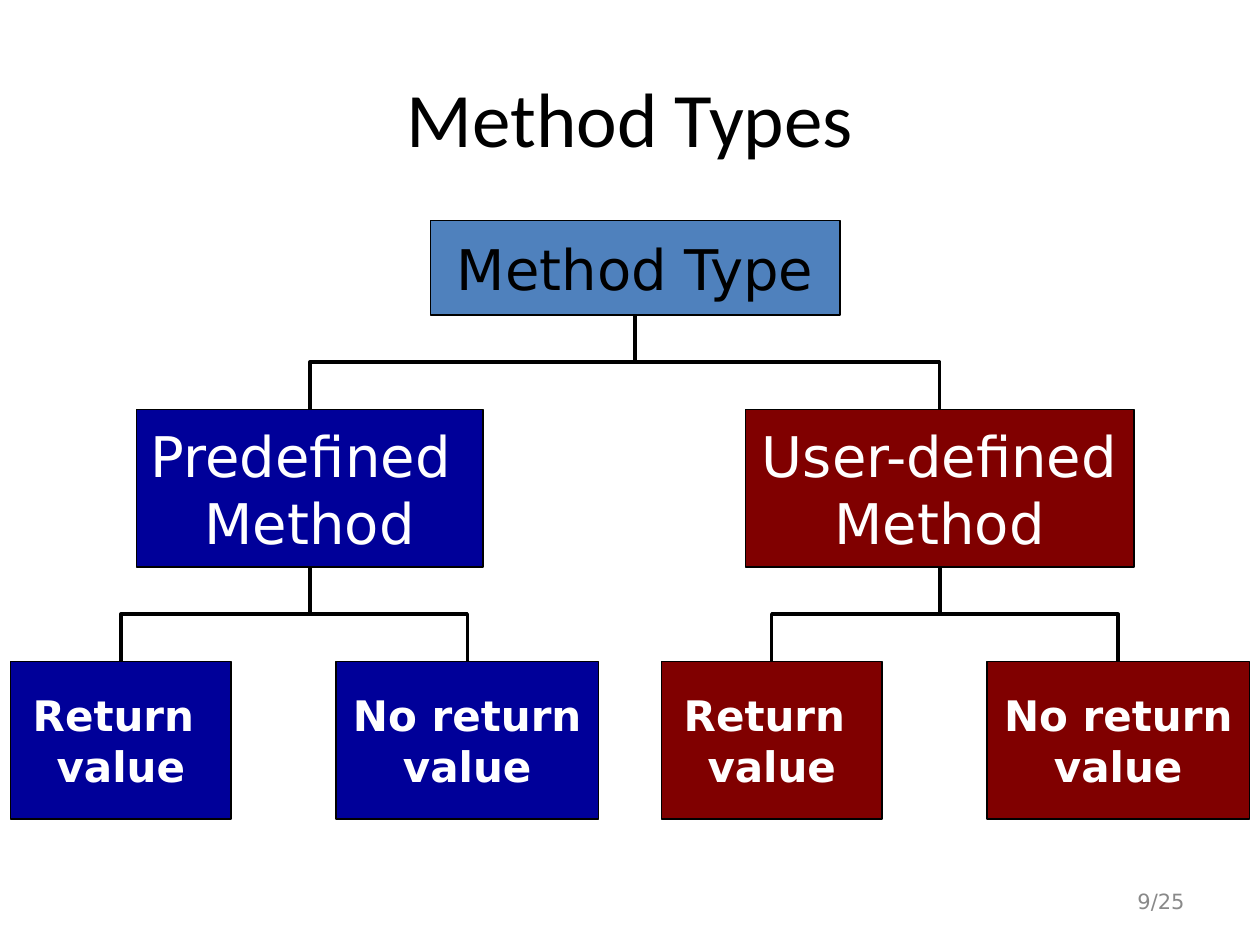
from lxml.etree import SubElement
from pptx import Presentation
from pptx.dml.color import RGBColor
from pptx.enum.shapes import MSO_CONNECTOR, MSO_SHAPE
from pptx.enum.text import MSO_ANCHOR, PP_ALIGN
from pptx.oxml.ns import qn
from pptx.util import Pt

BLACK = RGBColor(0x00, 0x00, 0x00)
WHITE = RGBColor(0xFF, 0xFF, 0xFF)
GRAY = RGBColor(0x89, 0x89, 0x89)
LIGHT_BLUE = RGBColor(0x4F, 0x81, 0xBD)
NAVY = RGBColor(0x00, 0x00, 0x99)
MAROON = RGBColor(0x80, 0x00, 0x00)


def write(sp, text, size, color, font="DejaVu Sans", align=PP_ALIGN.CENTER,
          bold=False, wrap=False):
    tf = sp.text_frame
    tf.text = text
    tf.word_wrap = wrap
    tf.vertical_anchor = MSO_ANCHOR.MIDDLE
    for p in tf.paragraphs:
        p.alignment = align
        for r in p.runs:
            r.font.name = font
            r.font.size = Pt(size)
            r.font.bold = bold
            r.font.color.rgb = color


def join(parent, child):
    """Elbow from the parent's bottom to the child's top, turned to start downwards."""
    line = s.shapes.add_connector(MSO_CONNECTOR.ELBOW, 0, 0, 0, 0)
    line.begin_connect(parent, 2)
    line.end_connect(child, 0)
    x1, y1 = parent.left + parent.width // 2, parent.top + parent.height
    x2, y2 = child.left + child.width // 2, child.top
    # The frame is stored unrotated, so its width is the vertical distance
    line.width, line.height = y2 - y1, abs(x2 - x1)
    line.left = (x1 + x2 - line.width) // 2
    line.top = (y1 + y2 - line.height) // 2
    xfrm = line._element.spPr.find(qn("a:xfrm"))
    rightward = x2 > x1
    xfrm.set("rot", str((270 if rightward else 90) * 60000))
    xfrm.set("flipH", "1" if rightward else "0")
    xfrm.set("flipV", "0")
    line.line.color.rgb = BLACK
    line.line.width = Pt(2)
    SubElement(line._element.spPr, qn("a:effectLst"))


prs = Presentation()
prs.slide_width, prs.slide_height = Pt(720), Pt(540)
s = prs.slides.add_slide(prs.slide_layouts[6])

title = s.shapes.add_textbox(Pt(36), Pt(21.6), Pt(648), Pt(90))
write(title, "Method Types", 44, BLACK, font="Calibri", wrap=True)
number = s.shapes.add_textbox(Pt(516), Pt(500.4), Pt(168), Pt(28.8))
write(number, "9/25", 12, GRAY, align=PP_ALIGN.RIGHT, wrap=True)

# name, parent, text, left, top, width, height, fill, text colour, size
nodes = [
    ("root", None, "Method Type", 246, 126, 234, 54, LIGHT_BLUE, BLACK, 32),
    ("predefined", "root", "Predefined \nMethod", 78, 234, 198, 90, NAVY, WHITE, 32),
    ("user", "root", "User-defined\nMethod", 426, 234, 222, 90, MAROON, WHITE, 32),
]
for parent, left, fill in [("predefined", 6, NAVY), ("user", 378, MAROON)]:
    for text, offset, width in [("Return \nvalue", 0, 126), ("No return\nvalue", 186, 150)]:
        nodes.append((f"{parent} {text}", parent, text, left + offset, 378,
                      width, 90, fill, WHITE, 24))

boxes = {}
for name, parent, text, left, top, width, height, fill, color, size in nodes:
    sp = s.shapes.add_shape(MSO_SHAPE.RECTANGLE, Pt(left), Pt(top), Pt(width), Pt(height))
    sp.shadow.inherit = False
    sp.fill.solid()
    sp.fill.fore_color.rgb = fill
    sp.line.color.rgb = BLACK
    sp.line.width = Pt(0.75)
    write(sp, text, size, color, bold=size == 24)
    boxes[name] = sp

for name, parent, *_ in nodes:
    if parent:
        join(boxes[parent], boxes[name])

prs.save("out.pptx")
